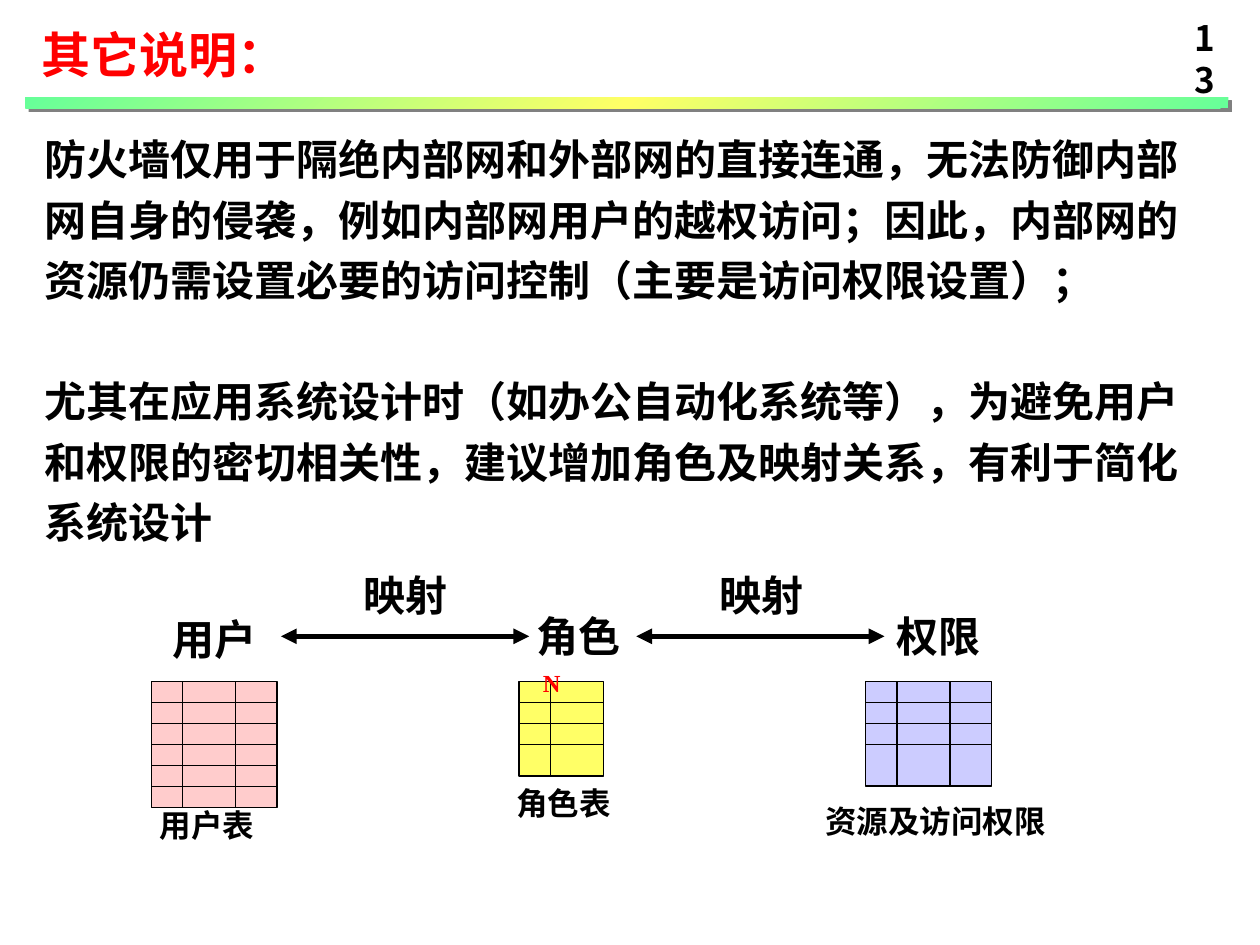
from copy import deepcopy

from lxml import etree
from pptx import Presentation
from pptx.dml.color import RGBColor
from pptx.enum.shapes import MSO_CONNECTOR, MSO_SHAPE
from pptx.enum.text import MSO_ANCHOR, MSO_AUTO_SIZE, PP_ALIGN
from pptx.oxml import parse_xml
from pptx.oxml.ns import nsdecls, qn
from pptx.util import Inches, Pt

STRAIGHT = MSO_CONNECTOR.STRAIGHT
RECTANGLE = MSO_SHAPE.RECTANGLE
TOP = MSO_ANCHOR.TOP
LEFT = PP_ALIGN.LEFT
NO_AUTOFIT = MSO_AUTO_SIZE.NONE

BLACK = RGBColor(0x00, 0x00, 0x00)
RED = RGBColor(0xFF, 0x00, 0x00)
PINK = RGBColor(0xFF, 0xCC, 0xCC)
YELLOW = RGBColor(0xFF, 0xFF, 0x66)
LILAC = RGBColor(0xCC, 0xCC, 0xFF)
GREEN = RGBColor(0x66, 0xFF, 0x99)

SANS = "Noto Sans CJK SC"
SERIF = "Times New Roman"


class SlideBuilder:
    """Holds the slide and the style shared by its elements."""

    def __init__(self, slide):
        self.slide = slide
        self.shapes = slide.shapes

    def set_text(self, frame, lines, size, font, color=BLACK, spacing=None):
        frame.auto_size = NO_AUTOFIT
        frame.vertical_anchor = TOP
        for index, line in enumerate(lines):
            paragraph = frame.paragraphs[0] if index == 0 else frame.add_paragraph()
            paragraph.alignment = LEFT
            paragraph.space_before = Pt(0)
            if spacing:
                paragraph.line_spacing = spacing
            run = paragraph.add_run()
            run.text = line
            run.font.size = Pt(size)
            run.font.bold = True
            run.font.name = font
            run.font.color.rgb = color
            east_asian = etree.SubElement(run.font._element, qn("a:ea"))
            east_asian.set("typeface", SANS)

    def place(self, holder, left, top, width, height):
        holder.left, holder.top = Inches(left), Inches(top)
        holder.width, holder.height = Inches(width), Inches(height)
        holder.text_frame.word_wrap = True

    def title(self, text, box):
        holder = self.shapes.title
        self.place(holder, *box)
        self.set_text(holder.text_frame, [text], 28, SANS, RED, 1.2)

    def body(self, sections, box, gap):
        holder = self.slide.placeholders[1]
        self.place(holder, *box)
        lines = [line for section in sections for line in section]
        self.set_text(holder.text_frame, lines, 24, SERIF, spacing=1.2)
        starts = [section[0] for section in sections[1:]]
        for paragraph in holder.text_frame.paragraphs:
            if paragraph.text in starts:
                paragraph.space_before = Pt(gap)
            # No bullet, no hanging indent
            properties = paragraph._p.get_or_add_pPr()
            properties.set("marL", "0")
            properties.set("indent", "0")
            etree.SubElement(properties, qn("a:buNone"))

    def label(self, text, box, size, font=SANS, color=BLACK, wrap=False):
        frame = self.shapes.add_textbox(*map(Inches, box)).text_frame
        frame.word_wrap = wrap
        self.set_text(frame, [text], size, font, color)

    def line(self, x1, y1, x2, y2, width=0.75, arrows=False):
        connector = self.shapes.add_connector(STRAIGHT, *map(Inches, (x1, y1, x2, y2)))
        connector.line.color.rgb = BLACK
        connector.line.width = Pt(width)
        properties = connector._element.spPr
        if arrows:
            outline = properties.find(qn("a:ln"))
            for end in ("a:headEnd", "a:tailEnd"):
                etree.SubElement(outline, qn(end)).set("type", "triangle")
        etree.SubElement(properties, qn("a:effectLst"))

    def grid(self, left, width, height, fill, rows, columns):
        """Small table icon: rows counts the inner rules, columns their offsets."""
        top = 5.41
        sheet = self.shapes.add_shape(RECTANGLE, *map(Inches, (left, top, width, height)))
        sheet.shadow.inherit = False
        sheet.fill.solid()
        sheet.fill.fore_color.rgb = fill
        sheet.line.color.rgb = BLACK
        sheet.line.width = Pt(0.75)
        for row in range(1, rows + 1):
            y = top + row / 6
            self.line(left, y, left + width, y)
        for offset in columns:
            self.line(left + offset, top, left + offset, top + height)

    def gradient_bar(self, box, edge, middle):
        bar = self.shapes.add_shape(RECTANGLE, *map(Inches, box))
        bar.line.fill.background()
        bar.fill.gradient()
        bar.fill.gradient_angle = 315
        first, last = bar.fill.gradient_stops
        for stop, position in ((first, 0), (last, 1)):
            stop.color.rgb = edge
            stop.position = position
        stops = bar._element.spPr.find(".//" + qn("a:gsLst"))
        stops.insert(1, deepcopy(stops[0]))
        center = bar.fill.gradient_stops[1]
        center.color.rgb = middle
        center.position = 0.5
        bar._element.spPr.append(parse_xml(
            f'<a:effectLst {nsdecls("a")}>'
            f'<a:outerShdw dist="{Pt(2.8)}" dir="2700000" algn="ctr" rotWithShape="0">'
            '<a:srgbClr val="808080"/></a:outerShdw></a:effectLst>'))


prs = Presentation()
prs.slide_width, prs.slide_height = Inches(10), Inches(7.5)
page = SlideBuilder(prs.slides.add_slide(prs.slide_layouts[1]))

# Heading and explanation
page.title("其它说明：", (0.23, 0.05, 3.2, 0.61))
page.body([
    ["防火墙仅用于隔绝内部网和外部网的直接连通，无法防御内部",
     "网自身的侵袭，例如内部网用户的越权访问；因此，内部网的",
     "资源仍需设置必要的访问控制（主要是访问权限设置）；"],
    ["尤其在应用系统设计时（如办公自动化系统等），为避免用户",
     "和权限的密切相关性，建议增加角色及映射关系，有利于简化系统设计"],
], (0.25, 0.93, 9.5, 3.45), gap=34.6)
page.label("13", (9.38, 0.08, 0.49, 0.44), 20, wrap=True)
page.gradient_bar((0.2, 0.77, 9.55, 0.09), GREEN, YELLOW)

# User, role and permission with the mappings between them
for text, left, top in (("用户", 1.27, 4.82), ("角色", 4.16, 4.8), ("权限", 7.02, 4.8),
                        ("映射", 2.79, 4.47), ("映射", 5.61, 4.47)):
    page.label(text, (left, top, 0.87, 0.5), 24)
for start in (2.23, 5.05):
    page.line(start, 5.05, start + 1.97, 5.05, width=3, arrows=True)

# Table icons with their captions
page.grid(1.2, 1, 1, PINK, 5, (0.25, 0.67))
page.grid(4.12, 0.67, 0.75, YELLOW, 3, (0.25,))
page.grid(6.87, 1, 0.83, LILAC, 3, (0.25, 0.67))
for text, left, top, width in (("用户表", 1.17, 6.35, 0.96), ("角色表", 4, 6.17, 0.96),
                               ("资源及访问权限", 6.45, 6.32, 1.96)):
    page.label(text, (left, top, width, 0.4), 18, SERIF)
page.label("N", (4.21, 5.25, 0.34, 0.34), 14, SERIF, RED)

prs.save("out.pptx")
